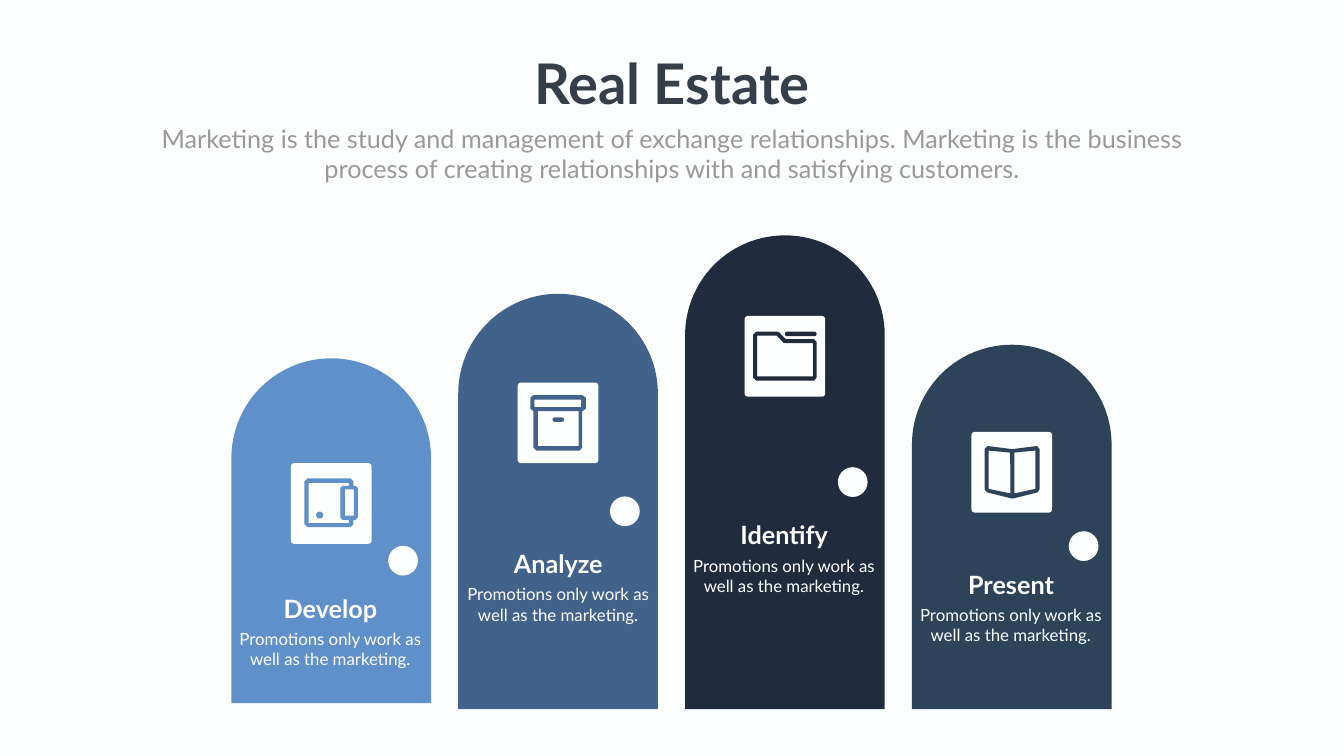
from pptx import Presentation
from pptx.dml.color import RGBColor
from pptx.enum.shapes import MSO_SHAPE
from pptx.enum.text import MSO_ANCHOR, MSO_AUTO_SIZE, PP_ALIGN
from pptx.util import Pt

PX = 9144
PAPER = "FDFFFE"
WHITE = "FFFFFF"


def paint(shape, color):
    shape.shadow.inherit = False
    shape.fill.solid()
    shape.fill.fore_color.rgb = RGBColor.from_string(color)
    shape.line.fill.background()


def write(holder, wording, size, color, bold=False, wrap=True):
    frame = holder.text_frame
    frame.text = wording
    frame.word_wrap = wrap
    frame.auto_size = MSO_AUTO_SIZE.NONE
    frame.vertical_anchor = MSO_ANCHOR.TOP
    paragraph = frame.paragraphs[0]
    paragraph.alignment = PP_ALIGN.CENTER
    paragraph.space_before = Pt(0)
    paragraph.font.name = "Lato"
    paragraph.font.size = Pt(size)
    paragraph.font.bold = bold
    paragraph.font.color.rgb = RGBColor.from_string(color)


prs = Presentation()
prs.slide_width = 2666 * PX
prs.slide_height = 1500 * PX
slide = prs.slides.add_slide(prs.slide_layouts[0])
slide.background.fill.solid()
slide.background.fill.fore_color.rgb = RGBColor.from_string(PAPER)
shapes = slide.shapes

title = shapes.title
title.left, title.top, title.width, title.height = [v * PX for v in (1042, 91, 582, 145)]
write(title, "Real Estate", 80, "353E49", bold=True, wrap=False)

intro = slide.placeholders[1]
intro.left, intro.top, intro.width, intro.height = [v * PX for v in (292, 240, 2082, 131)]
write(intro, "Marketing is the study and management of exchange relationships. "
      "Marketing is the business process of creating relationships with and "
      "satisfying customers.", 36, "989998")

wallet = [
    [(610, 949), (695, 949), (701, 955), (701, 964), (705, 964), (710, 968), (710, 1026),
     (705, 1032), (701, 1032), (701, 1040), (695, 1046), (610, 1046), (604, 1040), (604, 955)],
    [(612, 958), (692, 958), (692, 964), (680, 964), (675, 968), (675, 1026), (680, 1032),
     (692, 1032), (692, 1038), (612, 1038)],
    [(684, 971), (702, 971), (702, 1023), (684, 1023)],
]
archive_box = [
    [(1058, 784), (1155, 784), (1162, 789), (1162, 811), (1155, 816), (1155, 888),
     (1150, 894), (1064, 894), (1058, 888), (1058, 816), (1052, 811), (1052, 789)],
    [(1060, 793), (1153, 793), (1153, 808), (1060, 808)],
    [(1067, 816), (1148, 816), (1148, 885), (1067, 885)],
]
folder = [
    [(1500, 658), (1542, 658), (1545, 659), (1559, 673), (1615, 673), (1620, 679),
     (1620, 749), (1615, 755), (1500, 755), (1494, 749), (1494, 664)],
    [(1502, 666), (1541, 666), (1554, 680), (1558, 681), (1613, 681), (1613, 747), (1502, 747)],
]
book = [
    [(1959, 885), (2007, 891), (2009, 891), (2057, 885), (2062, 891), (2062, 971),
     (2058, 977), (2010, 989), (2006, 989), (1958, 977), (1953, 971), (1953, 891)],
    [(1961, 894), (2003, 898), (2004, 921), (2004, 979), (1961, 970)],
    [(2012, 898), (2054, 894), (2054, 970), (2012, 979)],
]

dot = (MSO_SHAPE.OVAL, 627, 1015, 14, 14)
handle = (MSO_SHAPE.ROUNDED_RECTANGLE, 1096, 828, 23, 9)
tab = (MSO_SHAPE.ROUNDED_RECTANGLE, 1557, 658, 63, 9)

doors = [
    ("Develop", "5F90C9", 711, 1395, 919, (770, 1083), (525, 1172), wallet, dot),
    ("Analyze", "41628B", 583, 1407, 759, (1210, 985), (977, 1083), archive_box, handle),
    ("Identify", "202C3D", 467, 1407, 627, (1662, 927), (1425, 1026), folder, tab),
    ("Present", "2D4359", 684, 1407, 857, (2120, 1054), (1875, 1124), book, None),
]

for column, (step, color, top, bottom, tile_top, knob_at, caption_at, icon, detail) in enumerate(doors):
    left = 459 + 450 * column
    door = shapes.add_shape(MSO_SHAPE.ROUND_2_SAME_RECTANGLE, left * PX, top * PX,
                            396 * PX, (bottom - top) * PX)
    door.adjustments[0] = 0.5
    door.adjustments[1] = 0
    paint(door, color)

    tile = shapes.add_shape(MSO_SHAPE.ROUNDED_RECTANGLE, (left + 118) * PX, tile_top * PX,
                            160 * PX, 160 * PX)
    tile.adjustments[0] = 0.04
    paint(tile, PAPER)

    outline = shapes.build_freeform(*icon[0][0], scale=PX)
    outline.add_line_segments(icon[0][1:])
    for hole in icon[1:]:
        outline.move_to(*hole[0])
        outline.add_line_segments(hole[1:])
    paint(outline.convert_to_shape(), color)

    if detail:
        preset, *box = detail
        accent = shapes.add_shape(preset, *[v * PX for v in box])
        if preset == MSO_SHAPE.ROUNDED_RECTANGLE:
            accent.adjustments[0] = 0.5
        paint(accent, color)

    knob = shapes.add_shape(MSO_SHAPE.OVAL, knob_at[0] * PX, knob_at[1] * PX, 59 * PX, 59 * PX)
    paint(knob, PAPER)

    x, y = caption_at
    heading = shapes.add_textbox(x * PX, y * PX, 261 * PX, 71 * PX)
    write(heading, step, 36, WHITE, bold=True)
    summary = shapes.add_textbox((x - 71) * PX, (y + 71) * PX, 402 * PX, 91 * PX)
    write(summary, "Promotions only work as well as the marketing.", 24, WHITE)

prs.save("out.pptx")
